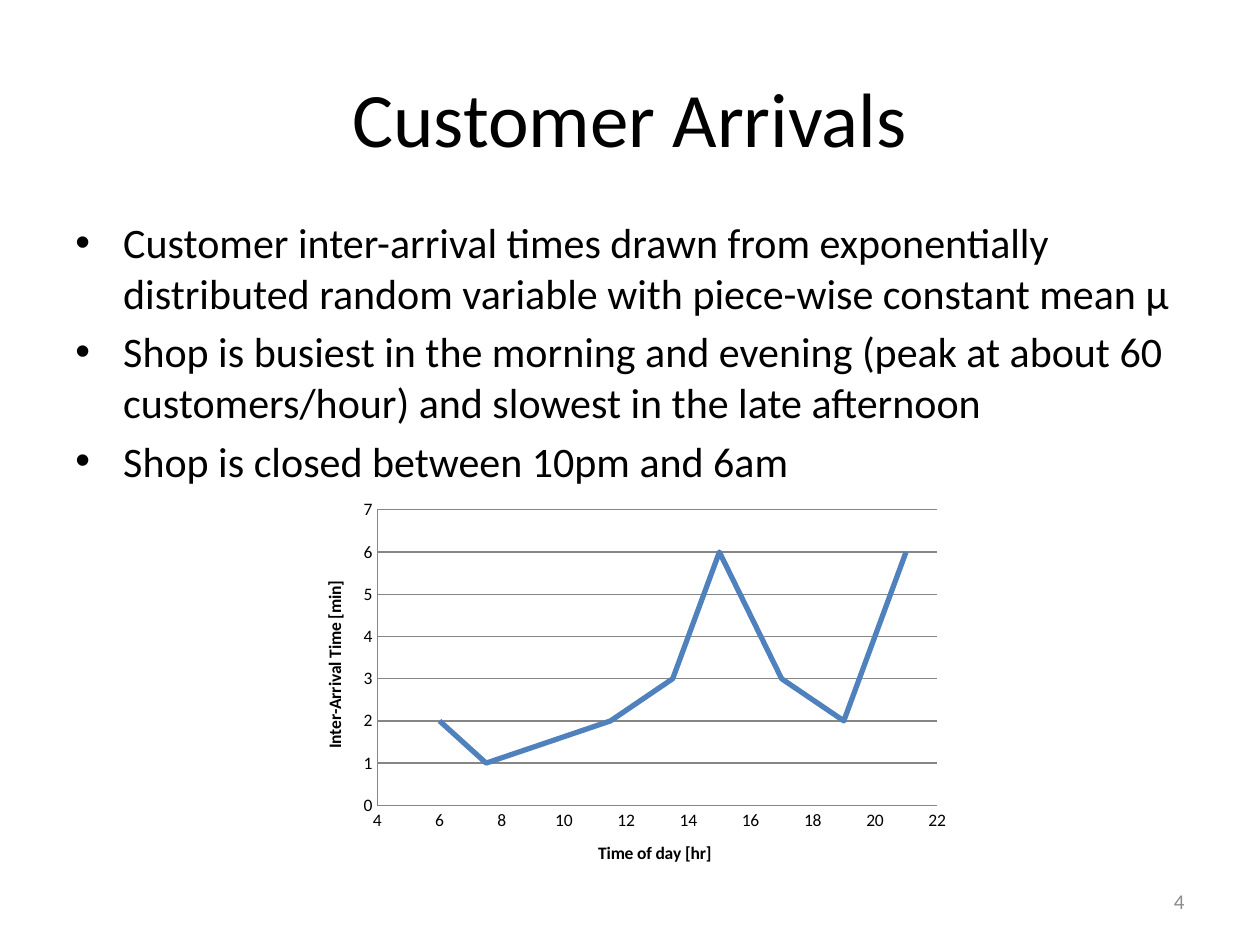
from pptx import Presentation
from pptx.util import Inches, Pt
from pptx.dml.color import RGBColor as Rgb
from pptx.chart.data import XyChartData as Data
from pptx.enum.chart import XL_CHART_TYPE as Kind, XL_TICK_MARK as Tick
from pptx.enum.text import PP_ALIGN as Align, MSO_ANCHOR as Anchor
from pptx.oxml import parse_xml
from pptx.oxml.ns import nsdecls

FONT = "Calibri"
HUES = {"ink": "000000", "grey": "8C8C8C", "line": "4F81BD", "grid": "868686"}

deck = Presentation()
deck.slide_width, deck.slide_height = Inches(10), Inches(7.5)
slide = deck.slides.add_slide(deck.slide_layouts[5])


def hue(name):
    return Rgb.from_string(HUES[name])


def write(box, at, lines, size, ink="ink", align=Align.LEFT,
          anchor=Anchor.TOP, bullet=False):
    """Place a box and fill it with one paragraph per line."""
    box.left, box.top, box.width, box.height = map(Inches, at)
    frame = box.text_frame
    frame.word_wrap = True
    frame.vertical_anchor = anchor
    frame.text = "\n".join(lines)
    for para in frame.paragraphs:
        para.alignment = align
        font = para.runs[0].font
        font.name, font.size = FONT, Pt(size)
        font.color.rgb = hue(ink)
        if bullet:
            para.space_before = Pt(0.2 * size)
            props = para._p.get_or_add_pPr()
            props.set("marL", str(Inches(0.38)))
            props.set("indent", str(-Inches(0.38)))
            for tag in ('<a:buFont %s typeface="Arial"/>', '<a:buChar %s char="•"/>'):
                props.append(parse_xml(tag % nsdecls("a")))


def add_box():
    return slide.shapes.add_textbox(0, 0, 0, 0)


# Title and bullets
write(slide.shapes.title, (0.5, 0.3, 9, 1.25), ["Customer Arrivals"], 44,
      align=Align.CENTER, anchor=Anchor.MIDDLE)
write(add_box(), (0.5, 1.67, 9, 2.75), [
    "Customer inter-arrival times drawn from exponentially distributed "
    "random variable with piece-wise constant mean μ",
    "Shop is busiest in the morning and evening (peak at about 60 "
    "customers/hour) and slowest in the late afternoon",
    "Shop is closed between 10pm and 6am",
], 24, bullet=True)

# Arrival chart
hours = [6, 7.5, 9.5, 11.5, 13.5, 15, 17, 19, 21]
means = [2, 1, 1.5, 2, 3, 6, 3, 2, 6]
data = Data()
curve = data.add_series("Series 1")
for hour, mean in zip(hours, means):
    curve.add_data_point(hour, mean)
chart = slide.shapes.add_chart(
    Kind.XY_SCATTER_SMOOTH_NO_MARKERS,
    *map(Inches, (2.36, 3.92, 5.29, 3.17)), data).chart
chart.has_legend = chart.has_title = False
chart.font.name, chart.font.size = FONT, Pt(10)
chart.font.color.rgb = hue("ink")

plot = chart.plots[0]
plot.vary_by_categories = False
line = plot.series[0]
line.smooth = True
line.format.line.width = Pt(3)
line.format.line.color.rgb = hue("line")

# Axes: scale, title and lines
for axis, low, high, step, name in (
        (chart.category_axis, 4, 22, 2, "Time of day [hr]"),
        (chart.value_axis, 0, 7, 1, "Inter-Arrival Time [min]")):
    axis.minimum_scale, axis.maximum_scale = low, high
    axis.major_unit = step
    axis.major_tick_mark = axis.minor_tick_mark = Tick.NONE
    axis.tick_labels.number_format = "General"
    axis.tick_labels.number_format_is_linked = False
    axis.format.line.color.rgb = hue("grid")
    axis.has_major_gridlines = axis is not None and low == 0
    frame = axis.axis_title.text_frame
    frame.text = name
    font = frame.paragraphs[0].runs[0].font
    font.name, font.size, font.bold = FONT, Pt(10), True
    font.color.rgb = hue("ink")
chart.value_axis.major_gridlines.format.line.color.rgb = hue("grid")

# Plot area as shares of the chart
area = chart._chartSpace.chart.plotArea
for old in area.findall("{*}layout"):
    area.remove(old)
shares = "".join(f'<c:{key} val="{val}"/>' for key, val in (
    ("layoutTarget", "inner"), ("xMode", "edge"), ("yMode", "edge"),
    ("x", 0.12), ("y", 0.04), ("w", 0.84), ("h", 0.74)))
area.insert(0, parse_xml(
    f'<c:layout {nsdecls("c")}><c:manualLayout>{shares}</c:manualLayout></c:layout>'))

# Slide number
write(add_box(), (7.17, 6.95, 2.33, 0.4), ["4"], 12, ink="grey",
      align=Align.RIGHT, anchor=Anchor.MIDDLE)

deck.save("out.pptx")
